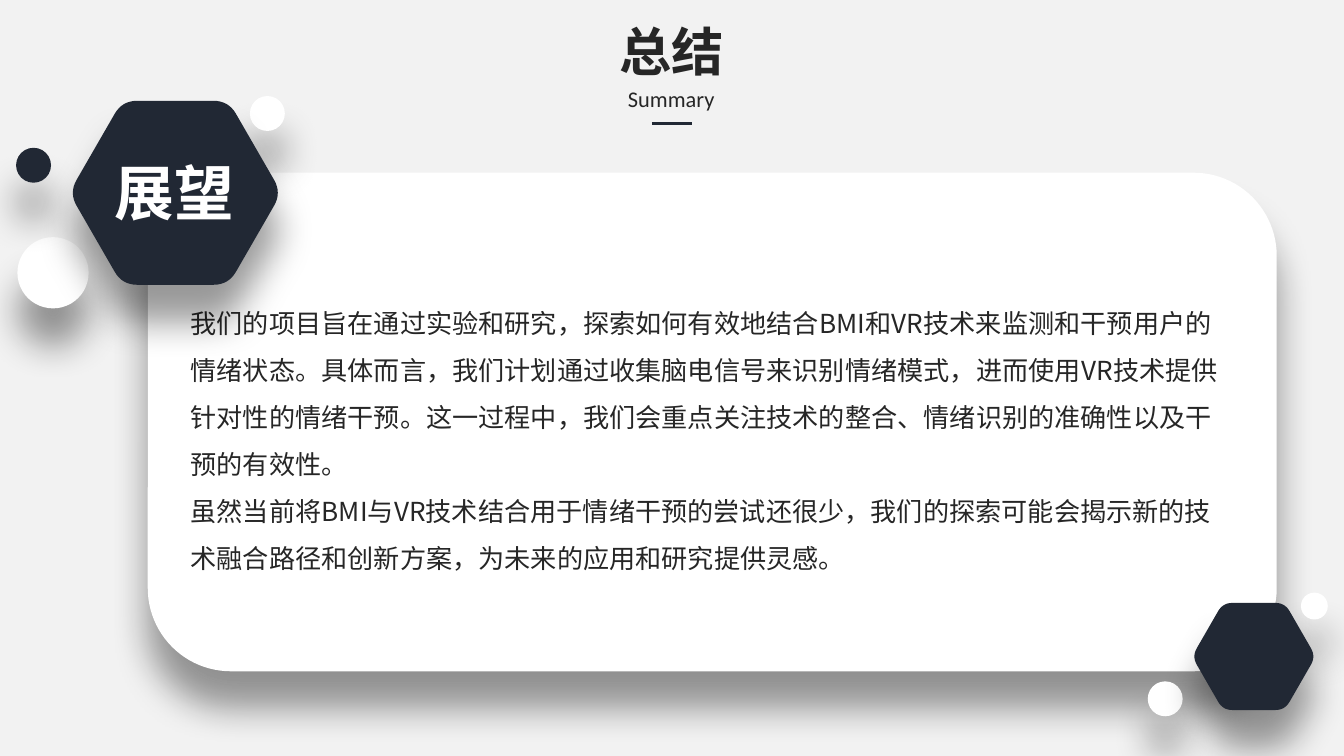
from dataclasses import dataclass
from math import cos, pi, sin

from pptx import Presentation
from pptx.dml.color import RGBColor
from pptx.enum.shapes import MSO_CONNECTOR, MSO_SHAPE
from pptx.enum.text import MSO_ANCHOR, MSO_AUTO_SIZE, PP_ALIGN
from pptx.oxml.ns import qn
from pptx.oxml.xmlchemy import OxmlElement
from pptx.shapes.base import BaseShape
from pptx.slide import Slide
from pptx.util import Emu, Pt

PX = 4572  # 200 px to the inch
TITLE_ONLY = 5
ROUNDED, OVAL = MSO_SHAPE.ROUNDED_RECTANGLE, MSO_SHAPE.OVAL
STRAIGHT = MSO_CONNECTOR.STRAIGHT
LEFT, CENTER = PP_ALIGN.LEFT, PP_ALIGN.CENTER
TOP = MSO_ANCHOR.TOP
GROW = MSO_AUTO_SIZE.SHAPE_TO_FIT_TEXT

COLORS = {"background": "F2F2F2", "white": "FFFFFF", "navy": "212834",
          "text": "262626", "shadow": "000000"}
CJK_FONT = "Noto Sans CJK SC"
OUTLOOK = [
    "我们的项目旨在通过实验和研究，探索如何有效地结合BMI和VR技术来监测和干预用户的情绪状态。"
    "具体而言，我们计划通过收集脑电信号来识别情绪模式，进而使用VR技术提供针对性的情绪干预。"
    "这一过程中，我们会重点关注技术的整合、情绪识别的准确性以及干预的有效性。",
    "虽然当前将BMI与VR技术结合用于情绪干预的尝试还很少，"
    "我们的探索可能会揭示新的技术融合路径和创新方案，为未来的应用和研究提供灵感。",
]


@dataclass(frozen=True)
class Box:
    left: int
    top: int
    width: int
    height: int

    def emu(self) -> list[Emu]:
        return [px(v) for v in (self.left, self.top, self.width, self.height)]


@dataclass(frozen=True)
class Dot:
    left: int
    top: int
    diameter: int
    color: str = "white"


@dataclass(frozen=True)
class Hexagon:
    center_x: int
    center_y: int
    radius: int
    corner: int


DOTS = [Dot(26, 353, 106), Dot(24, 220, 52, "navy"), Dot(372, 143, 52),
        Dot(1708, 1014, 52), Dot(1936, 882, 40)]
LARGE_HEXAGON = Hexagon(261, 287, 158, 22)
SMALL_HEXAGON = Hexagon(1866, 977, 92, 14)


def px(value: float) -> Emu:
    return Emu(round(value * PX))


def rgb(name: str) -> RGBColor:
    return RGBColor.from_string(COLORS[name])


def style_shape(shape: BaseShape, color: str) -> None:
    """Give a flat fill, no outline and a soft shadow straight below."""
    shape.fill.solid()
    shape.fill.fore_color.rgb = rgb(color)
    shape.line.fill.background()
    shape.shadow.inherit = False
    shadow = OxmlElement("a:outerShdw")
    for key, value in (("blurRad", Pt(20)), ("dist", Pt(20)),
                       ("dir", 90 * 60000), ("algn", "t"), ("rotWithShape", 0)):
        shadow.set(key, str(value))
    shade = OxmlElement("a:srgbClr")
    shade.set("val", COLORS["shadow"])
    alpha = OxmlElement("a:alpha")
    alpha.set("val", "40000")
    shade.append(alpha)
    shadow.append(shade)
    shape.element.spPr.find(qn("a:effectLst")).append(shadow)


def add_preset(slide: Slide, preset: MSO_SHAPE, box: Box, color: str) -> None:
    style_shape(slide.shapes.add_shape(preset, *box.emu()), color)


def add_hexagon(slide: Slide, hexagon: Hexagon, steps: int = 8) -> None:
    """Draw a regular hexagon whose corners are rounded by quadratic curves."""
    vertices = [(hexagon.center_x + hexagon.radius * cos(i * pi / 3),
                 hexagon.center_y + hexagon.radius * sin(i * pi / 3))
                for i in range(6)]
    cut = hexagon.corner / hexagon.radius
    points = []
    for i, (x, y) in enumerate(vertices):
        before, after = vertices[i - 1], vertices[(i + 1) % 6]
        for step in range(steps + 1):
            t = step / steps
            enter, leave = cut * (1 - t) ** 2, cut * t ** 2
            points.append((
                px(x + enter * (before[0] - x) + leave * (after[0] - x)),
                px(y + enter * (before[1] - y) + leave * (after[1] - y))))
    builder = slide.shapes.build_freeform(*points[0])
    builder.add_line_segments(points[1:], close=True)
    style_shape(builder.convert_to_shape(), "navy")


def write_text(shape: BaseShape, paragraphs: list[str], *, size: int,
               color: str = "text", font: str = CJK_FONT, bold: bool = False,
               align: PP_ALIGN = CENTER, spacing: float = 1.0,
               wrap: bool = True) -> None:
    frame = shape.text_frame
    frame.text = "\n".join(paragraphs)
    frame.word_wrap = wrap
    frame.auto_size = GROW
    frame.vertical_anchor = TOP
    for paragraph in frame.paragraphs:
        paragraph.alignment = align
        paragraph.line_spacing = spacing
        for run in paragraph.runs:
            run.font.size = Pt(size)
            run.font.bold = bold
            run.font.color.rgb = rgb(color)
            run.font.name = font
            east_asian = OxmlElement("a:ea")
            east_asian.set("typeface", font)
            run.font._element.find(qn("a:latin")).addnext(east_asian)


def add_text(slide: Slide, box: Box, paragraphs: list[str], **text_format) -> None:
    write_text(slide.shapes.add_textbox(*box.emu()), paragraphs, **text_format)


def add_heading(slide: Slide) -> None:
    title = slide.shapes.title
    title.left, title.top, title.width, title.height = Box(900, 19, 198, 114).emu()
    write_text(title, ["总结"], size=28, bold=True, wrap=False)
    add_text(slide, Box(913, 117, 172, 60), ["Summary"], size=12,
             font="Calibri", wrap=False)
    rule = slide.shapes.add_connector(STRAIGHT, px(970), px(184), px(1030), px(184))
    rule.line.color.rgb = rgb("navy")
    rule.line.width = Pt(1.5)
    rule.element.spPr.append(OxmlElement("a:effectLst"))


def main() -> None:
    presentation = Presentation()
    presentation.slide_width, presentation.slide_height = px(2000), px(1125)
    slide = presentation.slides.add_slide(presentation.slide_layouts[TITLE_ONLY])
    slide.background.fill.solid()
    slide.background.fill.fore_color.rgb = rgb("background")

    add_preset(slide, ROUNDED, Box(220, 257, 1680, 742), "white")
    for dot in DOTS:
        add_preset(slide, OVAL,
                   Box(dot.left, dot.top, dot.diameter, dot.diameter), dot.color)
    add_text(slide, Box(264, 424, 1592, 436), OUTLOOK, size=14,
             align=LEFT, spacing=1.5)
    add_hexagon(slide, LARGE_HEXAGON)
    add_text(slide, Box(149, 222, 222, 128), ["展望"], size=32,
             color="white", bold=True)
    add_hexagon(slide, SMALL_HEXAGON)
    add_heading(slide)
    presentation.save("out.pptx")


if __name__ == "__main__":
    main()
